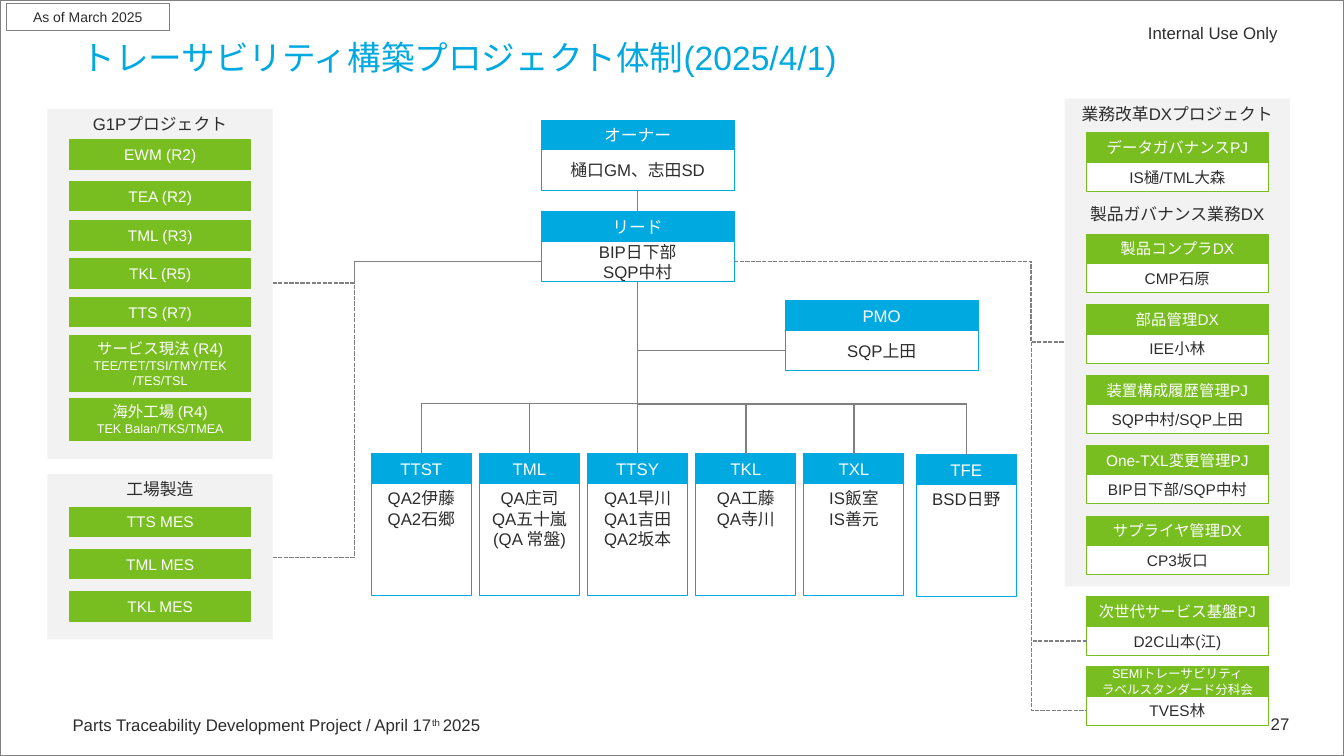
import pptx
import pptx.util
import pptx.dml.color
import pptx.enum.dml
import pptx.enum.shapes
import pptx.enum.text
import pptx.oxml
import pptx.oxml.ns

Pt = pptx.util.Pt
RGB = pptx.dml.color.RGBColor
ALIGN = pptx.enum.text.PP_ALIGN
ANCHOR = pptx.enum.text.MSO_ANCHOR
CONNECTOR = pptx.enum.shapes.MSO_CONNECTOR

BLUE = RGB(0x00, 0xA9, 0xE0)
GREEN = RGB(0x78, 0xBE, 0x20)
GRAY = RGB(0x80, 0x80, 0x80)
PANEL = RGB(0xF2, 0xF2, 0xF2)
INK = RGB(0x2D, 0x2D, 0x2D)
WHITE = RGB(0xFF, 0xFF, 0xFF)


def write(sp, text, size=12, color=INK, align=ALIGN.CENTER, anchor=ANCHOR.MIDDLE,
          small=None, gap=0):
    """Each line is a paragraph, \\v breaks a line; small and gap apply after the first."""
    tf = sp.text_frame
    tf.word_wrap = True
    tf.vertical_anchor = anchor
    for i, line in enumerate(text.split("\n")):
        p = tf.paragraphs[0] if i == 0 else tf.add_paragraph()
        p.alignment = align
        if i and gap:
            p.space_before = Pt(gap)
        for j, part in enumerate(line.split("\v")):
            if j:
                p.add_line_break()
            r = p.add_run()
            r.text = part
            r.font.name = "Arial"
            r.font.size = Pt(small if i and small else size)
            r.font.color.rgb = color
    return tf


class OrgSlide:
    def __init__(self, prs):
        self.shapes = prs.slides.add_slide(prs.slide_layouts[6]).shapes

    def box(self, x, y, w, h, text="", fill=None, line=None, weight=0.75, **fmt):
        sp = self.shapes.add_shape(pptx.enum.shapes.MSO_SHAPE.RECTANGLE,
                                   Pt(x), Pt(y), Pt(w), Pt(h))
        sp.shadow.inherit = False
        if fill is None:
            sp.fill.background()
        else:
            sp.fill.solid()
            sp.fill.fore_color.rgb = fill
        if line is None:
            sp.line.fill.background()
        else:
            sp.line.color.rgb = line
            sp.line.width = Pt(weight)
        if text:
            write(sp, text, **fmt)
        return sp

    def label(self, x, y, w, h, text, inset=True, **fmt):
        sp = self.shapes.add_textbox(Pt(x), Pt(y), Pt(w), Pt(h))
        tf = write(sp, text, **fmt)
        if not inset:
            tf.margin_left = tf.margin_top = tf.margin_right = tf.margin_bottom = 0
        return tf

    def card(self, x, y, w, h, head, body, color, size=12, head_size=None,
             anchor=ANCHOR.MIDDLE):
        bottom = self.box(x, y + 21, w, h, body, WHITE, color, size=size, anchor=anchor)
        top = self.box(x, y, w, 21, head, color, color, size=head_size or size, color=WHITE)
        return top, bottom

    def tag(self, y, text, h=21):
        self.box(49.7, y, 129.6, h, text, GREEN, GREEN, size=11, small=9, color=WHITE)

    def connector(self, kind, x1, y1, x2, y2, dashed=False):
        c = self.shapes.add_connector(kind, Pt(x1), Pt(y1), Pt(x2), Pt(y2))
        c.line.color.rgb = GRAY
        c.line.width = Pt(1)
        if dashed:
            c.line.dash_style = pptx.enum.dml.MSO_LINE.SQUARE_DOT
        c._element.spPr.append(pptx.oxml.parse_xml(
            "<a:effectLst %s/>" % pptx.oxml.ns.nsdecls("a")))
        return c

    def join(self, upper, lower):
        c = self.connector(CONNECTOR.STRAIGHT, 0, 0, 0, 0)
        c.begin_connect(upper, 2)
        c.end_connect(lower, 0)

    def bend(self, c, share):
        geom = c._element.spPr.find(pptx.oxml.ns.qn("a:prstGeom"))
        geom.find(pptx.oxml.ns.qn("a:avLst")).append(pptx.oxml.parse_xml(
            '<a:gd %s name="adj1" fmla="val %d"/>'
            % (pptx.oxml.ns.nsdecls("a"), round(share * 100000))))

    def side_link(self, x1, y1, x2, y2, trunk):
        c = self.connector(CONNECTOR.ELBOW, x1, y1, x2, y2, dashed=True)
        self.bend(c, (trunk - x1) / (x2 - x1))

    def drop_link(self, x1, y1, x2, y2, level=None):
        """Elbow that starts downwards: turned a quarter about its centre."""
        cx, cy, w, h = (x1 + x2) / 2, (y1 + y2) / 2, y2 - y1, abs(x2 - x1)
        c = self.connector(CONNECTOR.ELBOW, cx - w / 2, cy - h / 2, cx + w / 2, cy + h / 2)
        xfrm = c._element.spPr.find(pptx.oxml.ns.qn("a:xfrm"))
        xfrm.set("rot", "5400000" if x2 < x1 else "16200000")
        if x2 > x1:
            xfrm.set("flipH", "1")
        if level is None:
            c._element.spPr.find(pptx.oxml.ns.qn("a:prstGeom")).set("prst", "bentConnector2")
        else:
            self.bend(c, (level - y1) / w)


def main():
    prs = pptx.Presentation()
    prs.slide_width, prs.slide_height = Pt(960), Pt(540)
    s = OrgSlide(prs)

    # Frame, footer and title
    left, right, top = ALIGN.LEFT, ALIGN.RIGHT, ANCHOR.TOP
    tf = s.label(51.8, 508.3, 394, 18.7, "Parts Traceability Development Project / April 17",
                 inset=False, align=left)
    p = tf.paragraphs[0]
    for text, baseline in (("th ", "30000"), ("2025", "0")):
        r = p.add_run()
        r.text = text
        r.font.name, r.font.size = "Arial", Pt(12)
        r.font.color.rgb = INK
        r.font._element.set("baseline", baseline)
    s.label(679.7, 14.4, 233, 18.7, "Internal Use Only", inset=False, align=right)
    s.label(888.5, 506.2, 39.6, 20.9, "27", align=right, anchor=top)
    s.box(0, 0, 960, 540, line=GRAY, weight=1)
    s.label(51.1, 23, 859, 41, "トレーサビリティ構築プロジェクト体制(2025/4/1)",
            size=24, color=BLUE, align=left, anchor=top)
    s.box(4.3, 2.5, 116.6, 19.4, "As of March 2025", line=GRAY, size=10)

    # Grey panels
    for x, y, h, text in ((33.8, 338.4, 118.4, "工場製造"),
                          (33.8, 77.8, 250, "G1Pプロジェクト"),
                          (760.4, 70.4, 348.5, "業務改革DXプロジェクト\n製品ガバナンス業務DX")):
        s.box(x, y, 161, h, text, PANEL, anchor=top, gap=57)

    # Left tags
    for y, text in ((100, "EWM (R2)"), (129.6, "TEA (R2)"), (157.7, "TML (R3)"),
                    (185, "TKL (R5)"), (212.4, "TTS (R7)")):
        s.tag(y, text)
    s.tag(239.8, "サービス現法 (R4)\nTEE/TET/TSI/TMY/TEK\v/TES/TSL", h=39.6)
    s.tag(284.4, "海外工場 (R4)\nTEK Balan/TKS/TMEA", h=30.2)
    for i, site in enumerate(("TTS", "TML", "TKL")):
        s.tag(362.2 + 30.2 * i, site + " MES")

    # Owner, lead and PMO
    owner = s.card(386.5, 86, 138, 29, "オーナー", "樋口GM、志田SD", BLUE)
    lead = s.card(386.5, 151.2, 138, 29, "リード", "BIP日下部\nSQP中村", BLUE)
    s.card(560.8, 214.8, 138, 29, "PMO", "SQP上田", BLUE)

    # Team columns
    teams = (("TTST", "QA2伊藤\nQA2石郷"), ("TML", "QA庄司\nQA五十嵐\n(QA 常盤)"),
             ("TTSY", "QA1早川\nQA1吉田\nQA2坂本"), ("TKL", "QA工藤\nQA寺川"),
             ("TXL", "IS飯室\nIS善元"), ("TFE", "BSD日野"))
    center, lead_bottom = 455.5, 201.2
    for i, (head, body) in enumerate(teams):
        x, y = (654.5, 324.7) if head == "TFE" else (265.25 + 77.25 * i, 324.1)
        team = s.card(x, y, 71.5, 80.6, head, body, BLUE, anchor=top)
        if head == "TTSY":
            s.join(lead[1], team[0])
        else:
            s.drop_link(center, lead_bottom, x + 35.75, y, level=288.5)
    s.join(owner[1], lead[0])
    s.drop_link(center, lead_bottom, 560.8, 250.3)

    # Right project cards
    projects = ((95, "データガバナンスPJ", "IS樋/TML大森"),
                (167.2, "製品コンプラDX", "CMP石原"),
                (217.6, "部品管理DX", "IEE小林"),
                (268, "装置構成履歴管理PJ", "SQP中村/SQP上田"),
                (318, "One-TXL変更管理PJ", "BIP日下部/SQP中村"),
                (368.6, "サプライヤ管理DX", "CP3坂口"),
                (426.3, "次世代サービス基盤PJ", "D2C山本(江)"),
                (476.2, "SEMIトレーサビリティ\vラベルスタンダード分科会", "TVES林"))
    for y, head, body in projects:
        s.card(776.2, y, 129.6, 21, head, body, GREEN, size=11,
               head_size=9 if "\v" in head else 11)

    # Dashed links to the related projects
    level = 186.7
    for x, y in ((760.4, 244.2), (776.2, 457.8), (776.2, 507.7)):
        s.side_link(524.5, level, x, y, trunk=736.6)
    for y in (202.3, 398.2):
        s.side_link(194.8, y, 386.5, level, trunk=253)

    prs.save("out.pptx")


if __name__ == "__main__":
    main()
